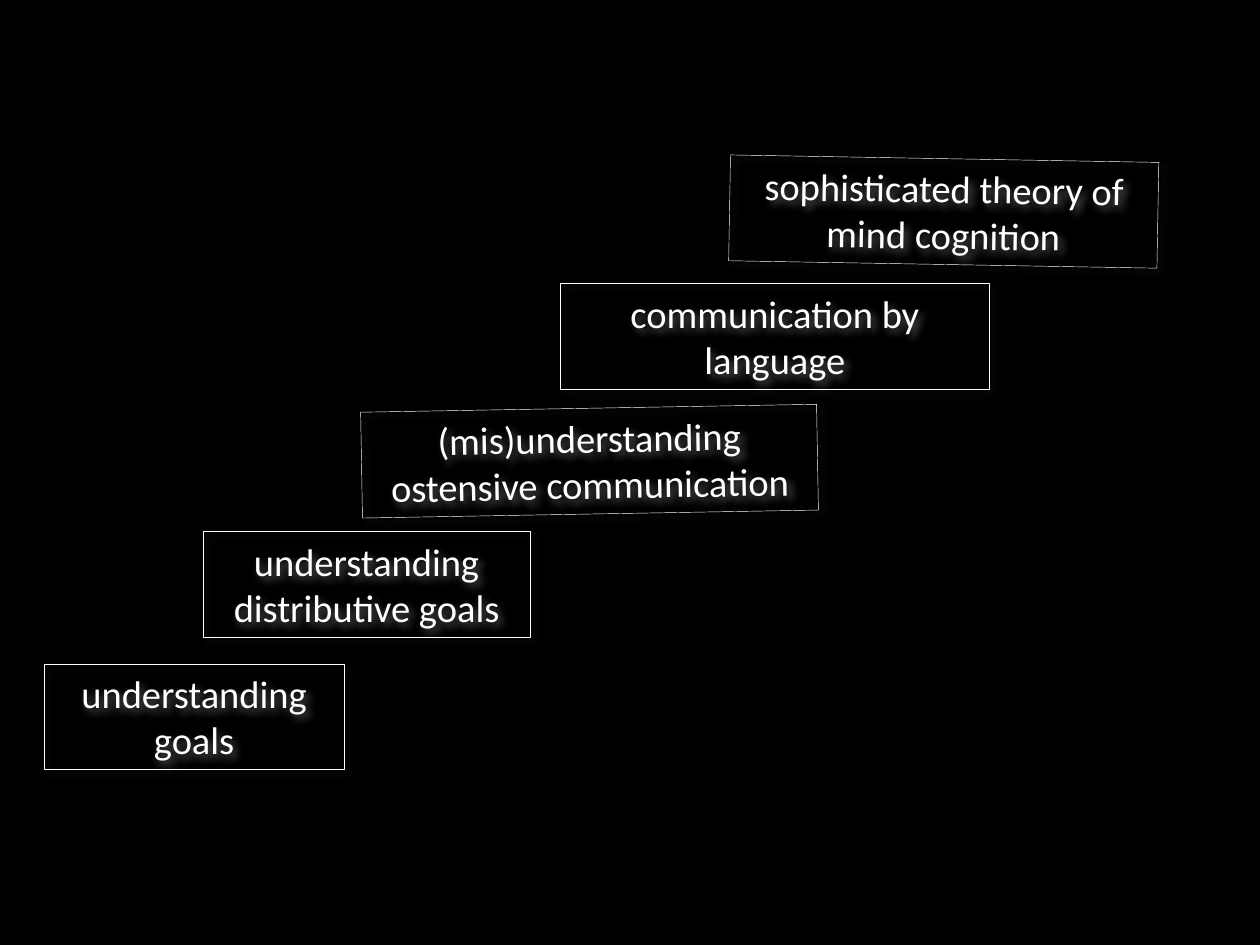
"""Builds a slide with a rising staircase of five stages of communication."""
from lxml import etree
from pptx import Presentation
from pptx.dml.color import RGBColor
from pptx.enum import text
from pptx.oxml import ns
from pptx.util import Pt

COLORS = {"background": "000000", "foreground": "FFFFFF", "shadow": "808080"}
STAGE_HEIGHT = 60.5
STAGES = [
    ("understanding goals", 25.2, 379.4, 171.4, 0),
    ("understanding distributive goals", 115.9, 303.8, 187.2, 0),
    ("(mis)understanding ostensive communication", 206.6, 233.3, 260.6, 359),
    ("communication by language", 320.4, 162, 244.8, 0),
    ("sophisticated theory of mind cognition", 416.9, 90.7, 244.8, 1),
]


def add_shadow(stage):
    effects = etree.SubElement(stage._element.spPr, ns.qn("a:effectLst"))
    shadow = etree.SubElement(
        effects, ns.qn("a:outerShdw"),
        blurRad=str(Pt(5)), dist=str(Pt(3)), dir=str(45 * 60000))
    tint = etree.SubElement(shadow, ns.qn("a:srgbClr"), val=COLORS["shadow"])
    etree.SubElement(tint, ns.qn("a:alpha"), val="75000")


deck = Presentation()
deck.slide_width, deck.slide_height = Pt(720), Pt(540)
slide = deck.slides.add_slide(deck.slide_layouts[6])
backdrop = slide.background.fill
backdrop.solid()
backdrop.fore_color.rgb = RGBColor.from_string(COLORS["background"])

for wording, left, top, width, rotation in STAGES:
    stage = slide.shapes.add_textbox(Pt(left), Pt(top), Pt(width), Pt(STAGE_HEIGHT))
    stage.rotation = rotation
    stage.line.width = Pt(0.25)
    stage.line.color.rgb = RGBColor.from_string(COLORS["foreground"])
    add_shadow(stage)
    frame = stage.text_frame
    frame.word_wrap = True
    frame.auto_size = text.MSO_AUTO_SIZE.SHAPE_TO_FIT_TEXT
    label = frame.paragraphs[0]
    label.text = wording
    label.alignment = text.PP_ALIGN.CENTER
    label.font.name = "Calibri"
    label.font.size = Pt(22)
    label.font.color.rgb = RGBColor.from_string(COLORS["foreground"])

deck.save("out.pptx")
